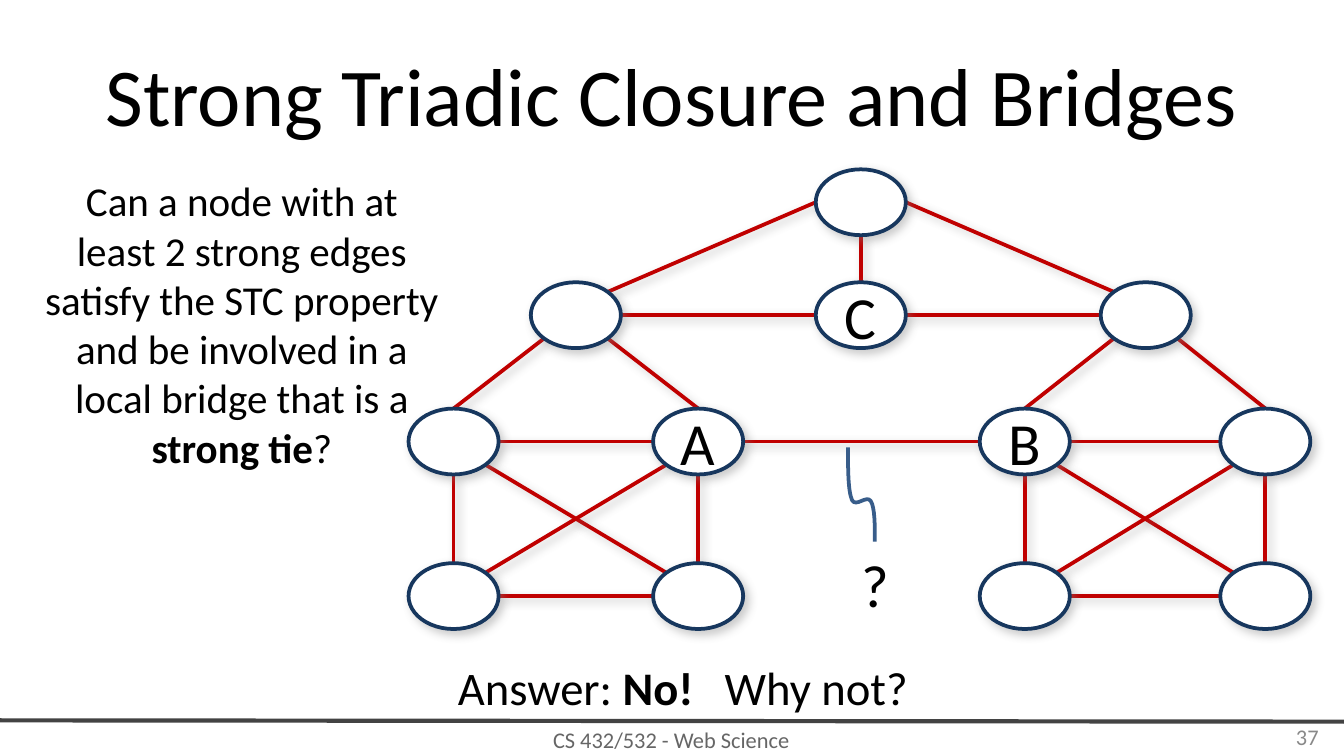
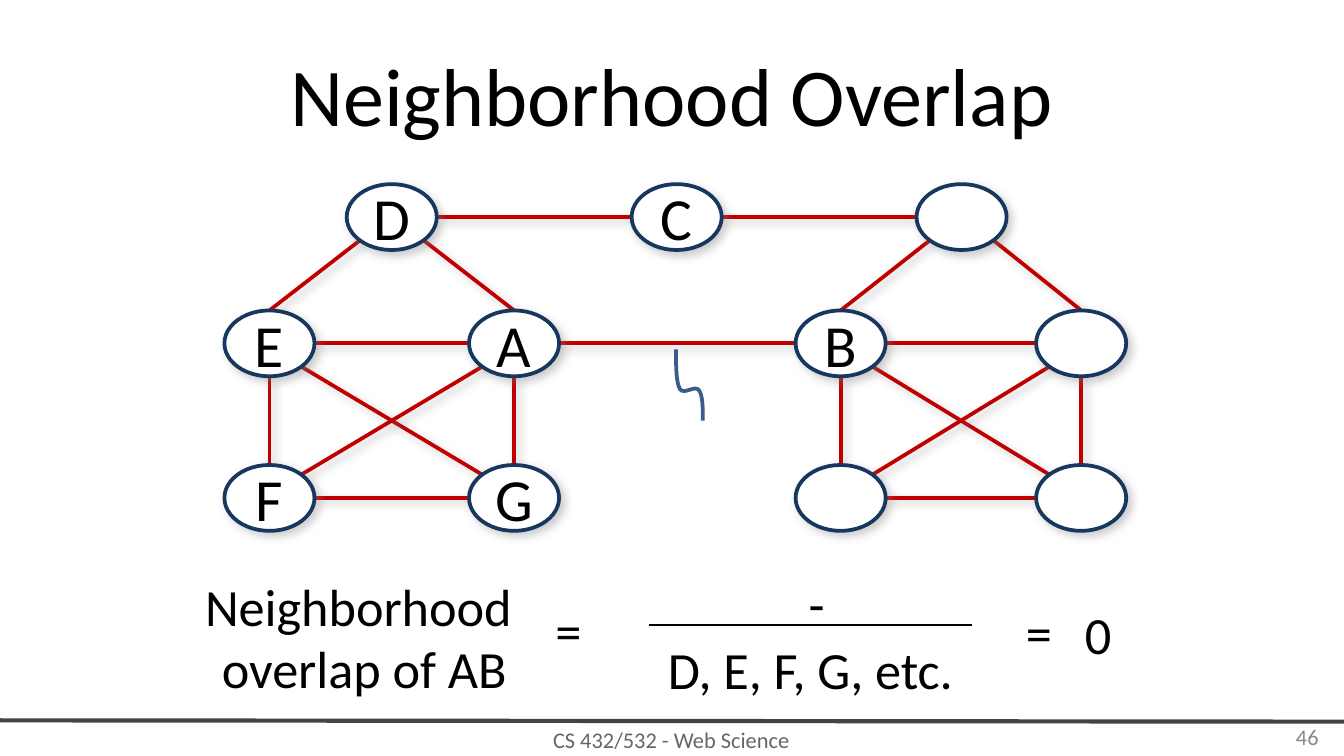
from dataclasses import dataclass
from math import cos, radians, sin

from lxml import etree
from pptx import Presentation
from pptx.dml.color import RGBColor
from pptx.enum import shapes, text
from pptx.oxml.ns import qn
from pptx.util import Inches, Pt


@dataclass(frozen=True)
class Theme:
    font: str = "Calibri"
    ink: str = "000000"
    paper: str = "FFFFFF"
    edge: str = "C00000"
    node: str = "17375E"
    pointer: str = "385D8A"
    rule: str = "434343"
    footer: str = "666666"
    number: str = "898989"
    shade: str = "808080"
    title_size: int = 44
    label_size: int = 32
    formula_size: int = 28
    answer_size: int = 25
    question_size: int = 22
    small_size: int = 12


THEME = Theme()
LEFT, CENTER, RIGHT = text.PP_ALIGN.LEFT, text.PP_ALIGN.CENTER, text.PP_ALIGN.RIGHT
TOP, MIDDLE = text.MSO_ANCHOR.TOP, text.MSO_ANCHOR.MIDDLE

# Nodes: left and top inside the graph box
NODE_WIDTH, NODE_HEIGHT = 0.67, 0.49
NODES = {
    "left parent": (0.91, 0), "middle": (3.03, 0), "right parent": (5.15, 0),
    "E": (0, 0.94), "A": (1.82, 0.94), "B": (4.25, 0.94), "H": (6.04, 0.94),
    "F": (0, 2.09), "G": (1.82, 2.09), "I": (4.25, 2.09), "J": (6.04, 2.09),
}
APEX = {"apex": (3.03, -0.84)}

# Points on a node's outline, as angles clockwise from the right
SIDES = {"e": 0, "se": 45, "s": 90, "sw": 135, "w": 180, "nw": 225, "n": 270, "ne": 315}


def household(parent, near, far, low_near, low_far):
    """Edges of a parent above a fully linked square of four nodes."""
    return [
        (parent, "sw", near, "n"), (parent, "se", far, "n"),
        (near, "e", far, "w"), (low_near, "e", low_far, "w"),
        (near, "s", low_near, "n"), (far, "s", low_far, "n"),
        (near, "se", low_far, "nw"), (far, "sw", low_near, "ne"),
    ]


EDGES = [
    *household("left parent", "E", "A", "F", "G"),
    *household("right parent", "B", "H", "I", "J"),
    ("left parent", "e", "middle", "w"),
    ("middle", "e", "right parent", "w"),
    ("A", "e", "B", "w"),
]
APEX_EDGES = [
    ("apex", "w", "left parent", "ne"),
    ("apex", "e", "right parent", "nw"),
    ("apex", "s", "middle", "n"),
]

# Pointer curve: control points as shares of its box
POINTER = [(0, 0), (0, 0.23), (0, 0.46), (0.15, 0.56), (0.3, 0.64),
           (0.7, 0.5), (0.85, 0.57), (1, 0.64), (1, 0.83), (1, 1)]


def set_format(target, values):
    for name, value in values.items():
        setattr(target, name, value)


def set_line(shape, color, width):
    shape.line.color.rgb = RGBColor.from_string(color)
    shape.line.width = Pt(width)


def set_effects(shape, shadow=False):
    """Give a shape its own effect list, with a soft shadow or none."""
    effects = etree.SubElement(shape._element.spPr, qn("a:effectLst"))
    if shadow:
        outer = etree.SubElement(effects, qn("a:outerShdw"), blurRad="63500",
                                 dist="38100", dir="2700000")
        color = etree.SubElement(outer, qn("a:srgbClr"), val=THEME.shade)
        etree.SubElement(color, qn("a:alpha"), val="40000")


def write(shape, spans, size, color=THEME.ink, align=CENTER, anchor=TOP, inset=0.05):
    """Fill a shape with one paragraph; spans are (words, bold, extra spacing)."""
    frame = shape.text_frame
    set_format(frame, {
        "word_wrap": True, "vertical_anchor": anchor,
        "margin_left": Inches(0.1), "margin_right": Inches(0.1),
        "margin_top": Inches(inset), "margin_bottom": Inches(inset),
    })
    para = frame.paragraphs[0]
    para.alignment = align
    if isinstance(spans, str):
        spans = [(spans, False, 0)]
    for words, bold, spacing in spans:
        for index, row in enumerate(words.split("\n")):
            if index:
                para.add_line_break()
            span = para.add_run()
            span.text = row
            set_format(span.font, {"name": THEME.font, "size": Pt(size), "bold": bold})
            span.font.color.rgb = RGBColor.from_string(color)
            if spacing:
                span._r.get_or_add_rPr().set("spc", str(spacing * 100))


def add_text(page, box, spans, size, **options):
    write(page.shapes.add_textbox(*map(Inches, box)), spans, size, **options)


def add_line(page, start, end, color, width, shadow=False):
    line = page.shapes.add_connector(shapes.MSO_CONNECTOR.STRAIGHT,
                                     *map(Inches, (*start, *end)))
    set_line(line, color, width)
    set_effects(line, shadow)


def add_frame(deck, title, number):
    """New page with title, footer rule, course name and page number."""
    page = deck.slides.add_slide(deck.slide_layouts[6])
    add_line(page, (0, 5.36), (10, 5.37), THEME.rule, 2.25)
    add_text(page, (1.82, 5.37, 6.35, 0.26), "CS 432/532 - Web Science",
             THEME.small_size, color=THEME.footer, anchor=MIDDLE, inset=0.1)
    add_text(page, (0.5, 0.23, 9, 0.94), title, THEME.title_size, anchor=MIDDLE)
    add_text(page, (7.58, 5.33, 2.33, 0.3), str(number), THEME.small_size,
             color=THEME.number, align=RIGHT, anchor=MIDDLE)
    return page


def add_graph(page, left, top, nodes, edges, labels):
    """Network whose upper row of parents starts at the given corner."""
    def outline_point(name, side):
        x, y = nodes[name]
        angle = radians(SIDES[side])
        return (left + x + NODE_WIDTH / 2 * (1 + cos(angle)),
                top + y + NODE_HEIGHT / 2 * (1 + sin(angle)))

    # Edges lie under the nodes
    for first, first_side, second, second_side in edges:
        add_line(page, outline_point(first, first_side),
                 outline_point(second, second_side), THEME.edge, 2, shadow=True)

    for name, (x, y) in nodes.items():
        box = (left + x, top + y, NODE_WIDTH, NODE_HEIGHT)
        node = page.shapes.add_shape(shapes.MSO_SHAPE.OVAL, *map(Inches, box))
        node.fill.solid()
        node.fill.fore_color.rgb = RGBColor.from_string(THEME.paper)
        set_line(node, THEME.node, 2)
        set_effects(node, shadow=True)
        if name in labels:
            write(node, labels[name], THEME.label_size, anchor=MIDDLE)


def add_pointer(page, left, top, width, height):
    """Wavy stroke hanging from the edge between A and B."""
    points = [(Inches(left + x * width), Inches(top + y * height)) for x, y in POINTER]
    builder = page.shapes.build_freeform(*points[0])
    builder.add_line_segments(points[1:], close=False)
    pointer = builder.convert_to_shape()
    pointer.fill.background()
    set_line(pointer, THEME.pointer, 2)
    pointer.shadow.inherit = False

    # Every three straight segments become one cubic curve
    outline = next(pointer._element.iter(qn("a:path")))
    segments = outline.findall(qn("a:lnTo"))
    for index in range(0, len(segments), 3):
        curve = etree.SubElement(outline, qn("a:cubicBezTo"))
        for segment in segments[index:index + 3]:
            curve.append(segment[0])
            outline.remove(segment)


def add_overlap_formula(page, left, top):
    """Neighborhood overlap written as a fraction."""
    size = THEME.formula_size
    parts = [
        ((0, 0.02, 2.58, 0.78), "Neighborhood \noverlap of AB"),
        ((2.58, 0.2, 0.46, 0.43), "="),
        ((3.81, 0, 1.69, 0.43), "-"),
        ((3.41, 0.49, 2.4, 0.43), "D, E, F, G, etc."),
        ((6.14, 0.23, 1.22, 0.43), "0"),
        ((6.08, 0.22, 0.46, 0.43), "="),
    ]
    for (x, y, width, height), words in parts:
        add_text(page, (left + x, top + y, width, height), words, size)
    add_line(page, (left + 3.41, top + 0.45), (left + 5.81, top + 0.45), THEME.ink, 1.5)


def build_closure_page(deck):
    page = add_frame(deck, "Strong Triadic Closure and Bridges", 37)
    add_graph(page, 3.04, 2.1, {**NODES, **APEX}, EDGES + APEX_EDGES,
              {"middle": "C", "A": "A", "B": "B"})
    # Question and pointer
    add_text(page, (0.23, 1.26, 3.14, 2.17), [
        ("Can a node with at least 2 strong edges satisfy the STC property "
         "and be involved in a local bridge that is a ", False, 0),
        ("strong tie", True, 0),
        ("?", False, 0),
    ], THEME.question_size)
    add_pointer(page, 6.31, 3.33, 0.2, 0.7)
    add_text(page, (6.31, 4.03, 0.69, 0.48), "?", THEME.label_size, align=LEFT)
    # Answer, with one widened space before the follow-up
    add_text(page, (0.62, 4.85, 8.92, 0.43), [
        ("Answer: ", False, 0), ("No!", True, 0), (" ", False, 11), ("Why not?", False, 0),
    ], THEME.answer_size)


def build_overlap_page(deck):
    page = add_frame(deck, "Neighborhood Overlap", 46)
    labels = {"left parent": "D", "middle": "C", **{name: name for name in "EABFG"}}
    add_graph(page, 1.67, 1.37, NODES, EDGES, labels)
    add_pointer(page, 5.03, 2.6, 0.2, 0.53)
    add_overlap_formula(page, 1.42, 4.2)


def main():
    deck = Presentation()
    # Widescreen, 16 to 9
    deck.slide_width = Inches(10)
    deck.slide_height = deck.slide_width * 9 // 16
    build_closure_page(deck)
    build_overlap_page(deck)
    deck.save("out.pptx")


if __name__ == "__main__":
    main()
